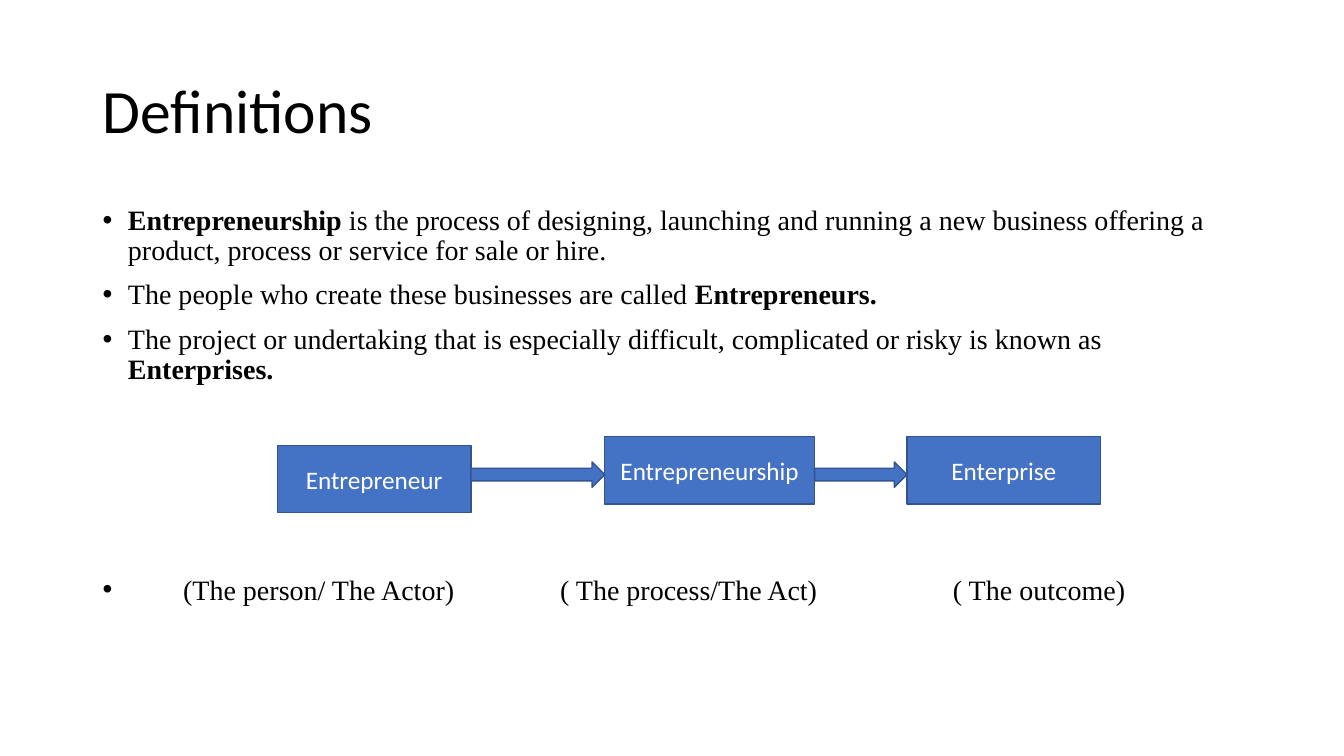
from dataclasses import dataclass

from lxml.etree import SubElement
from pptx import Presentation
from pptx.dml.color import RGBColor
from pptx.enum.shapes import MSO_SHAPE as Preset
from pptx.enum.text import MSO_ANCHOR as Anchor, MSO_AUTO_SIZE as AutoSize, PP_ALIGN as Align
from pptx.oxml.ns import qn
from pptx.util import Cm, Pt


@dataclass(frozen=True)
class Theme:
    """Colours, fonts and type sizes of the slide."""
    ink: RGBColor = RGBColor(0, 0, 0)
    paper: RGBColor = RGBColor(255, 255, 255)
    fill: RGBColor = RGBColor(0x44, 0x72, 0xC4)
    edge: RGBColor = RGBColor(0x32, 0x54, 0x91)
    sans: str = "Calibri"
    serif: str = "Times New Roman"
    title: int = 44
    body: int = 20
    label: int = 18


THEME = Theme()

DEFINITIONS = [
    [("Entrepreneurship", True),
     (" is the process of designing, launching and running a new business offering "
      "a product, process or service for sale or hire.", False)],
    [("The people who create these businesses are called ", False),
     ("Entrepreneurs.", True)],
    [("The project or undertaking that is especially difficult, complicated or risky "
      "is known as ", False),
     ("Enterprises.", True)],
]
ROLES = [("(The person/ The Actor)", 2.03),
         ("( The process/The Act)", 11.53),
         ("( The outcome)", 21.43)]
STAGES = [("Entrepreneur", 0, 0.22, 4.88),
          ("Entrepreneurship", 8.25, 0, 5.29),
          ("Enterprise", 15.87, 0, 4.88)]


def set_font(font, name, size, color):
    """Give a font its face, size and colour."""
    font.name, font.size = name, Pt(size)
    font.color.rgb = color


def place(shape, left, top, width, height):
    """Move a placeholder into a box given in centimetres."""
    shape.left, shape.top, shape.width, shape.height = map(Cm, (left, top, width, height))


def add_title(title, text, *box):
    """Fill the title placeholder."""
    place(title, *box)
    frame = title.text_frame
    frame.auto_size = AutoSize.NONE
    frame.vertical_anchor = Anchor.MIDDLE
    heading = frame.paragraphs[0]
    heading.text = text
    heading.alignment = Align.LEFT
    heading.line_spacing = 0.9
    set_font(heading.font, THEME.sans, THEME.title, THEME.ink)


def style_bullet(bullet, space_before):
    """Set the hanging indent, spacing and font of a bullet."""
    props = bullet._p.get_or_add_pPr()
    props.set("marL", str(Cm(0.64)))
    props.set("indent", str(-Cm(0.64)))
    bullet.line_spacing = 0.9
    bullet.space_before = Pt(space_before)
    set_font(bullet.font, THEME.serif, THEME.body, THEME.ink)


def add_tabs(paragraph, stops):
    """Add left tab stops, in centimetres, to a styled paragraph."""
    props = paragraph._p.get_or_add_pPr()
    tabs = SubElement(props, qn("a:tabLst"))
    for stop in stops:
        SubElement(tabs, qn("a:tab"), pos=str(Cm(stop)), algn="l")
    props.find(qn("a:defRPr")).addprevious(tabs)


def add_definitions(body, *box):
    """Fill the body with the definitions and the row of roles."""
    place(body, *box)
    frame = body.text_frame
    frame.auto_size = AutoSize.NONE
    for index, parts in enumerate(DEFINITIONS):
        definition = frame.add_paragraph() if index else frame.paragraphs[0]
        for text, bold in parts:
            run = definition.add_run()
            run.text = text
            run.font.bold = bold
        style_bullet(definition, 10)
    roles = frame.add_paragraph()
    roles.add_run().text = "".join("\t" + role for role, _ in ROLES)
    style_bullet(roles, 136)
    add_tabs(roles, [stop for _, stop in ROLES])


def add_block(slide, preset, left, top, width, height):
    """Add a filled and outlined shape."""
    block = slide.shapes.add_shape(preset, *map(Cm, (left, top, width, height)))
    block.shadow.inherit = False
    block.fill.solid()
    block.fill.fore_color.rgb = THEME.fill
    block.line.color.rgb = THEME.edge
    block.line.width = Pt(1)
    return block


def add_flow(slide, left, top, height):
    """Draw the stages and the arrows between them."""
    for name, across, down, width in STAGES:
        stage = add_block(slide, Preset.RECTANGLE, left + across, top + down, width, height)
        stage.text_frame.vertical_anchor = Anchor.MIDDLE
        label = stage.text_frame.paragraphs[0]
        label.text = name
        label.alignment = Align.CENTER
        set_font(label.font, THEME.sans, THEME.label, THEME.paper)
    for (_, across, _, width), (_, following, _, _) in zip(STAGES, STAGES[1:]):
        start = across + width
        add_block(slide, Preset.RIGHT_ARROW, left + start, top + 0.64, following - start, 0.64)


def main():
    """Build and save the slide."""
    deck = Presentation()
    deck.slide_width, deck.slide_height = Cm(33.87), Cm(19.05)
    slide = deck.slides.add_slide(deck.slide_layouts[1])
    add_title(slide.shapes.title, "Definitions", 2.33, 1.01, 29.21, 3.68)
    add_definitions(slide.placeholders[1], 2.33, 5.07, 29.21, 12.09)
    add_flow(slide, 6.99, 11, 1.7)
    deck.save("out.pptx")


if __name__ == "__main__":
    main()
